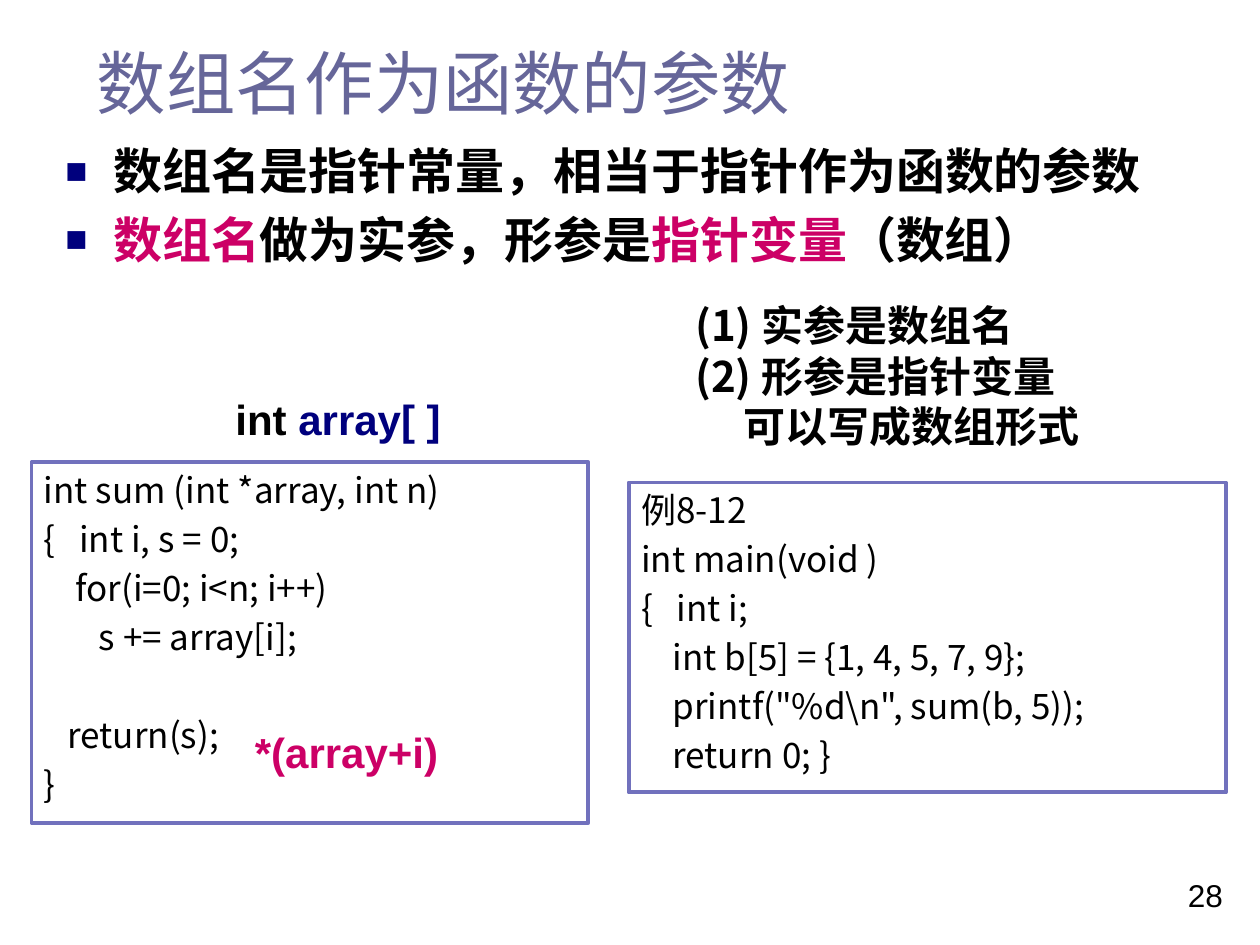
from lxml import etree
from pptx import Presentation
from pptx.dml.color import RGBColor
from pptx.enum.shapes import MSO_SHAPE
from pptx.enum.text import MSO_ANCHOR, PP_ALIGN
from pptx.oxml.ns import qn
from pptx.util import Inches, Pt

RECT = MSO_SHAPE.RECTANGLE
TOP, MIDDLE = MSO_ANCHOR.TOP, MSO_ANCHOR.MIDDLE
LEFT, CENTER = PP_ALIGN.LEFT, PP_ALIGN.CENTER
LATIN, CJK = "Arial", "Noto Sans CJK SC"
COLORS = {
    "text": "000000",
    "title": "666699",
    "navy": "00007D",
    "accent": "CC0066",
    "border": "7171BD",
}
SUM_CODE = [
    "int sum (int *array, int n)",
    "{   int i, s = 0;",
    "    for(i=0; i<n; i++)",
    "       s += array[i];",
    "   return(s);",
    "}",
]
MAIN_CODE = [
    "例8-12",
    "int main(void )",
    "{   int i;",
    "    int b[5] = {1, 4, 5, 7, 9};",
    '    printf("%d\\n", sum(b, 5));',
    "    return 0; }",
]


def rgb(name):
    return RGBColor.from_string(COLORS[name])


def style_run(r, size, color="text", font=LATIN, bold=False):
    r.font.size = Pt(size)
    r.font.name = font
    r.font.bold = bold
    r.font.color.rgb = rgb(color)
    ea = etree.SubElement(r._r.get_or_add_rPr(), qn("a:ea"))
    ea.set("typeface", CJK)


def fill_frame(tf, lines, size, font=LATIN, bold=False, gap=0, align=LEFT):
    for i, line in enumerate(lines):
        p = tf.paragraphs[0] if i == 0 else tf.add_paragraph()
        p.alignment = align
        if i and gap:
            p.space_before = Pt(gap)
        for text, color in line:
            r = p.add_run()
            r.text = text
            style_run(r, size, color, font, bold)


def add_text(slide, box, lines, size, wrap=True, anchor=TOP, **style):
    s = slide.shapes.add_textbox(*map(Inches, box))
    tf = s.text_frame
    tf.word_wrap = wrap
    tf.vertical_anchor = anchor
    fill_frame(tf, lines, size, **style)
    return tf


def add_bullets(slide, box, lines):
    tf = add_text(slide, box, lines, 28, bold=True, gap=5.6)
    for p in tf.paragraphs:
        pPr = p._p.get_or_add_pPr()
        pPr.set("marL", str(Inches(0.38)))
        pPr.set("indent", str(-Inches(0.38)))
        color = etree.SubElement(pPr, qn("a:buClr"))
        etree.SubElement(color, qn("a:srgbClr")).set("val", COLORS["navy"])
        etree.SubElement(pPr, qn("a:buSzPct")).set("val", "75000")
        etree.SubElement(pPr, qn("a:buFont")).set("typeface", LATIN)
        etree.SubElement(pPr, qn("a:buChar")).set("char", "■")


def add_notes(slide, box, lines):
    tf = add_text(slide, box, lines, 24, font=CJK, bold=True)
    tf.paragraphs[-1]._p.get_or_add_pPr().set("marL", str(Inches(0.38)))


def add_code(slide, box, code):
    s = slide.shapes.add_shape(RECT, *map(Inches, box))
    s.shadow.inherit = False
    s.fill.background()
    s.line.color.rgb = rgb("border")
    s.line.width = Pt(2.25)
    tf = s.text_frame
    tf.word_wrap = True
    tf.vertical_anchor = TOP
    fill_frame(tf, [[(line, "text")] for line in code], 20, font=CJK, gap=4)
    return tf


def build_slide(prs):
    slide = prs.slides.add_slide(prs.slide_layouts[6])
    add_text(slide, (0.67, 0.25, 8.58, 0.79), [[("数组名作为函数的参数", "title")]],
             39.6, anchor=MIDDLE)
    add_bullets(slide, (0.42, 1.07, 9.58, 1.67), [
        [("数组名是指针常量，相当于指针作为函数的参数", "text")],
        [("数组名", "accent"), ("做为实参，形参是", "text"),
         ("指针变量", "accent"), ("（数组）", "text")],
    ])
    sum_tf = add_code(slide, (0.25, 3.67, 4.42, 2.86), SUM_CODE)
    sum_tf.paragraphs[4].space_before = Pt(32)
    add_code(slide, (4.99, 3.83, 4.74, 2.46), MAIN_CODE)
    add_notes(slide, (5.42, 2.33, 4.15, 1.3), [
        [("(1) 实参是数组名", "text")],
        [("(2) 形参是指针变量", "text")],
        [("可以写成数组形式", "text")],
    ])
    array_tf = add_text(slide, (1.77, 3.12, 1.83, 0.46),
                        [[("int", "text"), (" array[ ]", "navy")]],
                        24, wrap=False, bold=True)
    array_tf.paragraphs[0].line_spacing = 0.9
    add_text(slide, (1.8, 5.72, 1.9, 0.5), [[("*(array+i)", "accent")]],
             24, wrap=False, anchor=MIDDLE, bold=True, align=CENTER)
    add_text(slide, (9.33, 6.9, 0.55, 0.4), [[("28", "text")]], 18)


def main():
    prs = Presentation()
    prs.slide_width, prs.slide_height = Inches(10), Inches(7.5)
    build_slide(prs)
    prs.save("out.pptx")


if __name__ == "__main__":
    main()
